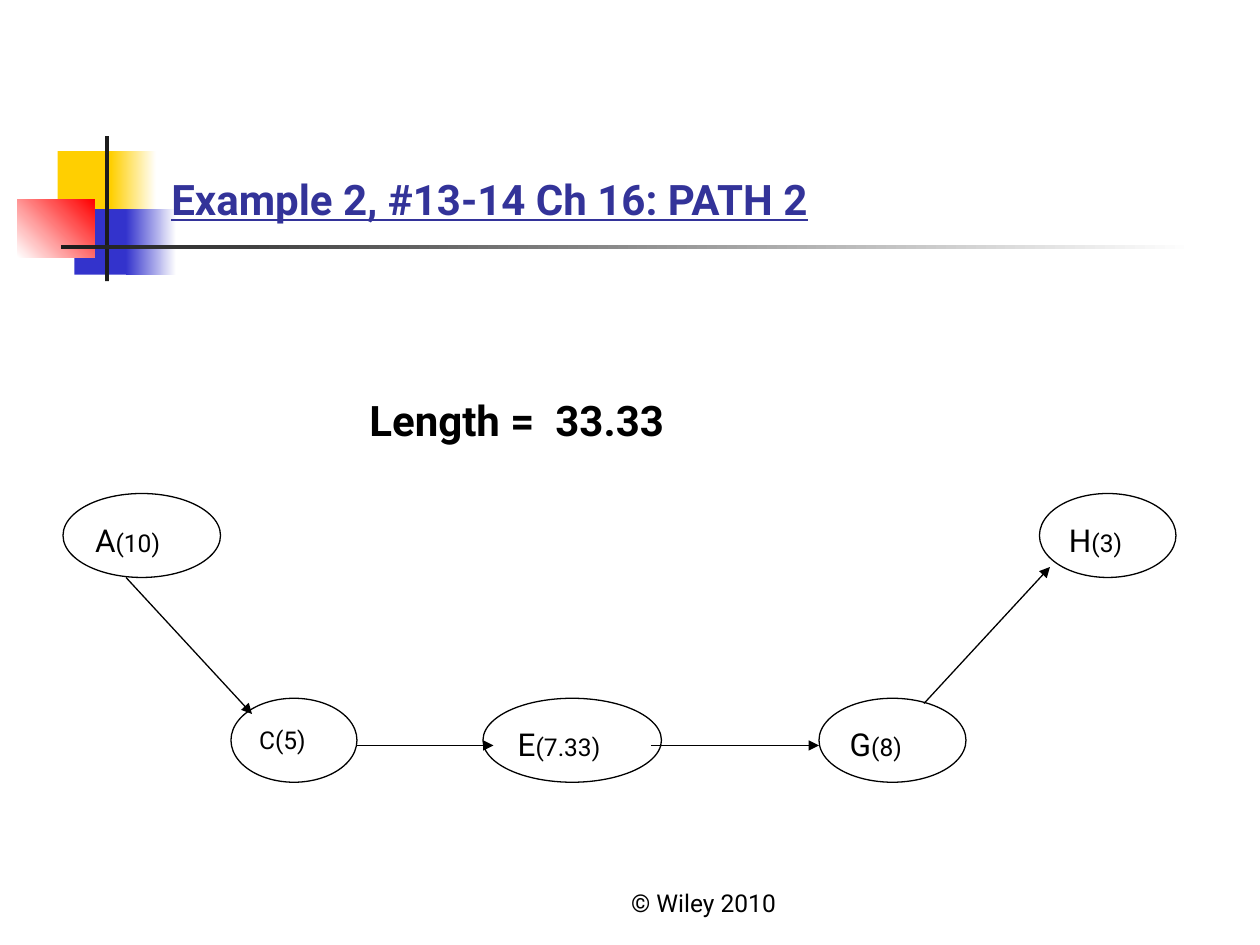
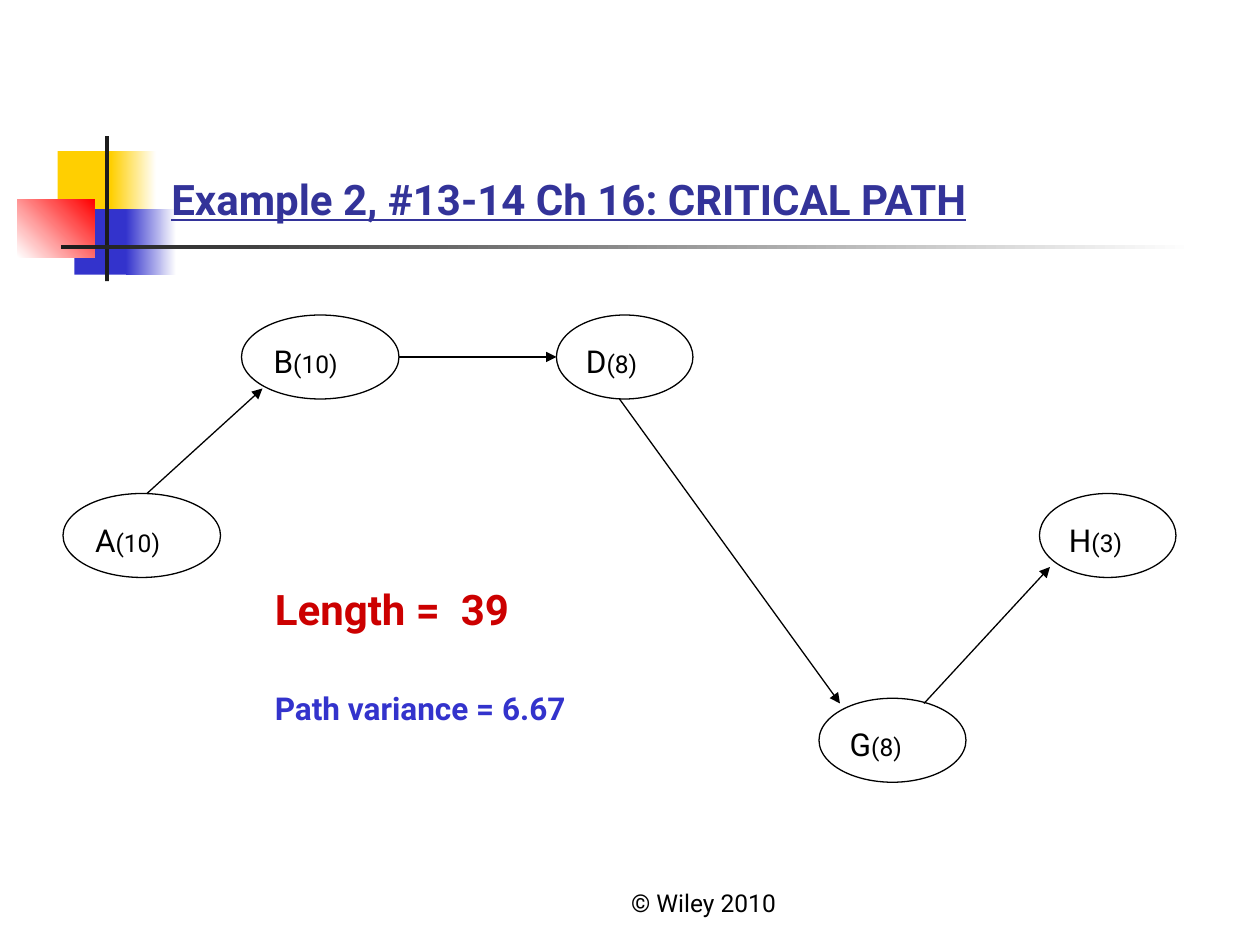
"""Build two slides that show project paths as activity-on-node networks."""
from lxml import etree
from pptx import Presentation
from pptx.dml.color import RGBColor
from pptx.enum.shapes import MSO_CONNECTOR, MSO_SHAPE
from pptx.enum.text import MSO_ANCHOR, MSO_AUTO_SIZE, PP_ALIGN
from pptx.oxml.ns import qn
from pptx.util import Pt

RECTANGLE, OVAL = MSO_SHAPE.RECTANGLE, MSO_SHAPE.OVAL
STRAIGHT = MSO_CONNECTOR.STRAIGHT
BOTTOM, TOP = MSO_ANCHOR.BOTTOM, MSO_ANCHOR.TOP
LEFT, CENTER = PP_ALIGN.LEFT, PP_ALIGN.CENTER
NO_AUTOFIT = MSO_AUTO_SIZE.NONE

FONT = "Roboto"
COLORS = {
    "text": "000000", "title": "333399", "white": "FFFFFF", "bar": "1C1C1C",
    "yellow": "FFCF01", "blue": "3333CC", "red": "FF0000", "critical": "CC0000",
}
NODE_HEIGHT = 48
NODES = {
    "A": (36, 282, 90, "(10)", 18),
    "B": (138, 180, 90, "(10)", 18),
    "C": (132, 399, 72, "(5)", 14),
    "D": (318, 180, 78, "(8)", 18),
    "E": (276, 399, 102, "(7.33)", 18),
    "G": (468, 399, 84, "(8)", 18),
    "H": (594, 282, 78, "(3)", 18),
}
ARROWS = {
    "AB": (84, 282, 150, 222),
    "AC": (72, 330, 144, 408),
    "BD": (228, 204, 318, 204),
    "CE": (204, 426, 282, 426),
    "DG": (354, 228, 480, 402),
    "EG": (372, 426, 468, 426),
    "GH": (528, 402, 600, 324),
}
ORNAMENT = [
    (33, 86.4, 34.6, 37.4, ["yellow"], 0),
    (63.4, 86.4, 25.9, 37.4, ["yellow", "white"], 0),
    (42.5, 119.5, 33.1, 37.4, ["blue"], 0),
    (72, 119.5, 28.8, 37.4, ["blue", "white"], 0),
    (10, 113.8, 44, 33.1, ["white", "red"], 45),
    (60, 77.8, 2.3, 82.8, ["bar"], 0),
    (34.6, 140.2, 648, 2.3, ["bar", "white"], 0),
]
PAGES = [
    {
        "title": "Example 2, #13-14 Ch 16: PATH 2",
        "path": "ACEGH",
        "results": [("Length =  33.33", 204, 222, 36, 24, "text")],
    },
    {
        "title": "Example 2, #13-14 Ch 16: CRITICAL PATH",
        "path": "ABDGH",
        "results": [
            ("Length =  39", 150, 330, 36, 24, "critical"),
            ("Path variance = 6.67", 150, 390, 29, 18, "blue"),
        ],
    },
]


def write(box, spans, color="text", bold=None, underline=None, align=LEFT, anchor=TOP):
    """Fill a box with one paragraph of (text, size) spans."""
    frame = box.text_frame
    frame.word_wrap = True
    frame.auto_size = NO_AUTOFIT
    frame.vertical_anchor = anchor
    para = frame.paragraphs[0]
    para.alignment = align
    for text, size in spans:
        span = para.add_run()
        span.text = text
        span.font.name = FONT
        span.font.size = Pt(size)
        span.font.bold = bold
        span.font.underline = underline
        span.font.color.rgb = RGBColor.from_string(COLORS[color])


deck = Presentation()
deck.slide_width, deck.slide_height = Pt(720), Pt(540)

for content in PAGES:
    page = deck.slides.add_slide(deck.slide_layouts[5])

    for x, y, width, height, tones, angle in ORNAMENT:
        block = page.shapes.add_shape(RECTANGLE, Pt(x), Pt(y), Pt(width), Pt(height))
        block.shadow.inherit = False
        block.line.fill.background()
        if len(tones) == 1:
            block.fill.solid()
            block.fill.fore_color.rgb = RGBColor.from_string(COLORS[tones[0]])
        else:
            block.fill.gradient()
            block.fill.gradient_angle = angle
            for stop, tone in zip(block.fill.gradient_stops, tones):
                stop.color.rgb = RGBColor.from_string(COLORS[tone])

    footer = page.shapes.add_textbox(Pt(288), Pt(492), Pt(228), Pt(36))
    write(footer, [("© Wiley 2010", 14)], align=CENTER, anchor=BOTTOM)

    title = page.shapes.title
    title.left, title.top, title.width, title.height = Pt(90.7), Pt(16.5), Pt(613.5), Pt(115.2)
    write(title, [(content["title"], 24)], "title", True, True, anchor=BOTTOM)
    title.element.getparent().append(title.element)

    path = content["path"]
    for name in path:
        x, y, width, duration, name_size = NODES[name]
        node = page.shapes.add_group_shape()
        oval = node.shapes.add_shape(OVAL, Pt(x), Pt(y), Pt(width), Pt(NODE_HEIGHT))
        oval.shadow.inherit = False
        oval.fill.background()
        oval.line.color.rgb = RGBColor.from_string(COLORS["text"])
        oval.line.width = Pt(0.75)
        label = node.shapes.add_textbox(
            Pt(x + width / 8), Pt(y + NODE_HEIGHT / 4), Pt(width * 5 / 8), Pt(name_size * 1.6))
        write(label, [(name, name_size), (duration, 14)])

    for start, end in zip(path, path[1:]):
        arrow = page.shapes.add_connector(STRAIGHT, *map(Pt, ARROWS[start + end]))
        arrow.line.color.rgb = RGBColor.from_string(COLORS["text"])
        arrow.line.width = Pt(0.75)
        etree.SubElement(arrow.line._get_or_add_ln(), qn("a:tailEnd"), type="triangle")
        etree.SubElement(arrow.element.spPr, qn("a:effectLst"))

    for text, x, y, height, size, color in content["results"]:
        result = page.shapes.add_textbox(Pt(x), Pt(y), Pt(222), Pt(height))
        write(result, [(text, size)], color, bold=True)

deck.save("out.pptx")
